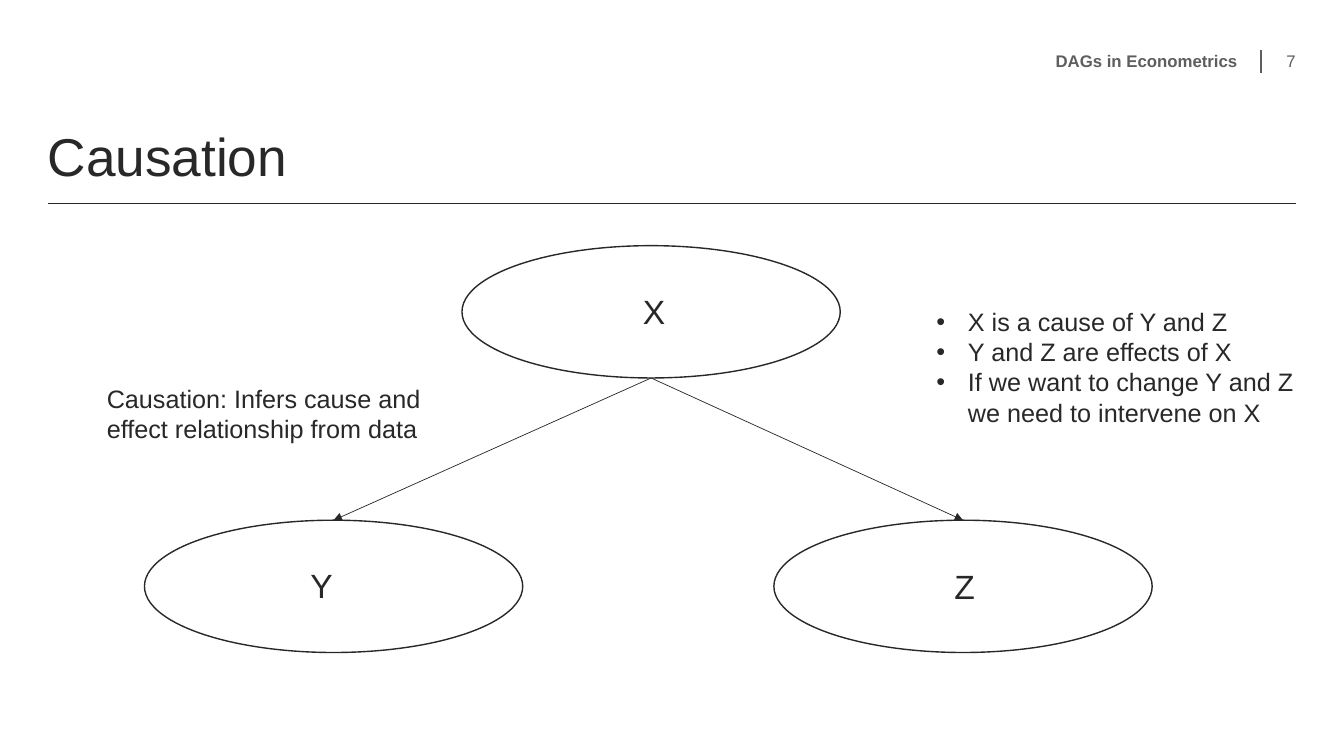
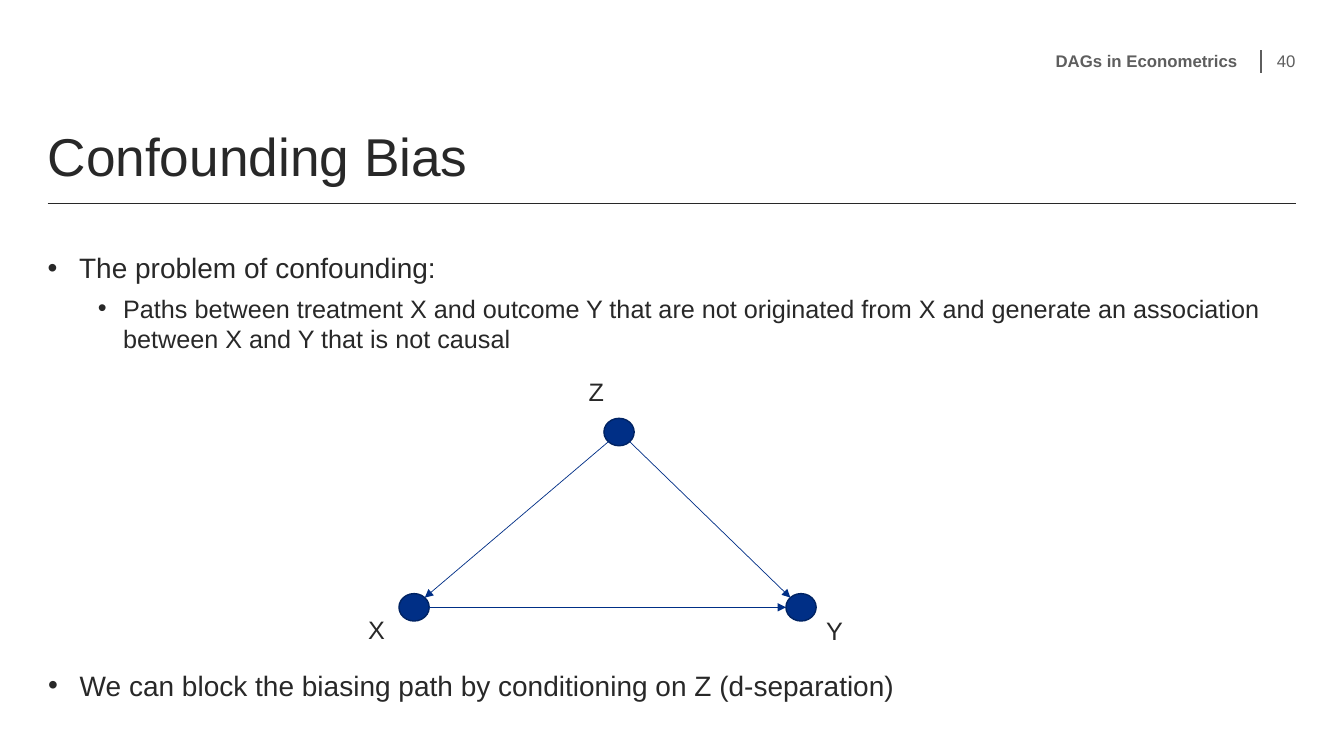
from dataclasses import dataclass
from math import cos, radians, sin

from lxml import etree
from pptx import Presentation
from pptx.dml.color import RGBColor
from pptx.enum.shapes import MSO_CONNECTOR, MSO_SHAPE
from pptx.enum.text import MSO_ANCHOR, PP_ALIGN
from pptx.oxml.ns import qn
from pptx.util import Pt

STRAIGHT = MSO_CONNECTOR.STRAIGHT
ELLIPSE = MSO_SHAPE.OVAL
TOP, MIDDLE, BOTTOM = MSO_ANCHOR.TOP, MSO_ANCHOR.MIDDLE, MSO_ANCHOR.BOTTOM
LEFT, RIGHT = PP_ALIGN.LEFT, PP_ALIGN.RIGHT


@dataclass(frozen=True)
class Theme:
    font: str = "Arial"
    ink: str = "282828"
    muted: str = "5E5E5E"
    white: str = "FFFFFF"
    navy: str = "002F86"
    dark_navy: str = "002363"
    title_size: int = 38
    node_size: int = 24
    body_size: int = 20
    detail_size: int = 18
    header_size: int = 12
    outline: float = 1
    arrow: float = 0.5


THEME = Theme()
SLIDE_WIDTH, SLIDE_HEIGHT = 960, 540
MARGIN = 34
CONTENT_WIDTH = 891.4
HEADER_TOP, HEADER_HEIGHT = 35.4, 16.4
DECK_NAME = "DAGs in Econometrics"
NO_INSET, TEXT_INSET = (0, 0), (7.2, 3.6)
BULLET = {"indent": (22.5, -22.5)}
SUB_BULLET = {"indent": (54, -18), "size": THEME.detail_size}


def rgb(color):
    return RGBColor.from_string(color)


def write_paragraph(paragraph, text, *, size=THEME.detail_size, color=THEME.ink, bold=False,
                    align=LEFT, line_spacing=1.0, space_before=0, indent=None):
    """Fill a paragraph; indent is (left margin, first line) and adds a bullet."""
    paragraph.alignment = align
    paragraph.line_spacing = line_spacing
    paragraph.space_before = Pt(space_before)
    run = paragraph.add_run()
    run.text = text
    run.font.name = THEME.font
    run.font.size = Pt(size)
    run.font.bold = bold
    run.font.color.rgb = rgb(color)
    if indent:
        properties = paragraph._p.get_or_add_pPr()
        properties.set("marL", str(Pt(indent[0])))
        properties.set("indent", str(Pt(indent[1])))
        etree.SubElement(properties, qn("a:buFont"), typeface=THEME.font)
        etree.SubElement(properties, qn("a:buChar"), char="•")


def add_text(slide, box, *paragraphs, inset=TEXT_INSET, anchor=TOP, **text_format):
    """Add a text box; a paragraph is a string or a (string, own format) pair."""
    frame = slide.shapes.add_textbox(*map(Pt, box)).text_frame
    frame.word_wrap = True
    frame.vertical_anchor = anchor
    frame.margin_left = frame.margin_right = Pt(inset[0])
    frame.margin_top = frame.margin_bottom = Pt(inset[1])
    for index, item in enumerate(paragraphs):
        text, own_format = (item, {}) if isinstance(item, str) else item
        paragraph = frame.add_paragraph() if index else frame.paragraphs[0]
        write_paragraph(paragraph, text, **{**text_format, **own_format})


def add_line(slide, start, end, color, width=THEME.outline, arrow=False):
    line = slide.shapes.add_connector(STRAIGHT, *map(Pt, (*start, *end)))
    line.line.color.rgb = rgb(color)
    line.line.width = Pt(width)
    if arrow:
        etree.SubElement(line.line._get_or_add_ln(), qn("a:tailEnd"), type="triangle")
    etree.SubElement(line._element.spPr, qn("a:effectLst"))


def add_ellipse(slide, box, fill, outline):
    ellipse = slide.shapes.add_shape(ELLIPSE, *map(Pt, box))
    ellipse.shadow.inherit = False
    ellipse.fill.solid()
    ellipse.fill.fore_color.rgb = rgb(fill)
    ellipse.line.color.rgb = rgb(outline)
    ellipse.line.width = Pt(THEME.outline)


def rim(box, degrees):
    """Point on the ellipse in the box, clockwise from its right end."""
    left, top, width, height = box
    angle = radians(degrees)
    return left + width / 2 * (1 + cos(angle)), top + height / 2 * (1 + sin(angle))


def add_graph(slide, nodes, labels, edges, *, node_size, label_size, label_width,
              fill, outline, arrow_color):
    """Draw nodes, arrows and labels; an edge is (from, degrees, to, degrees)."""
    boxes = {name: (*corner, *node_size) for name, corner in nodes.items()}
    for box in boxes.values():
        add_ellipse(slide, box, fill, outline)
    for source, leave, target, enter in edges:
        add_line(slide, rim(boxes[source], leave), rim(boxes[target], enter),
                 arrow_color, THEME.arrow, arrow=True)
    for name, corner in labels.items():
        add_text(slide, (*corner, label_width, label_size * 1.5), name, size=label_size)


def add_base_slide(presentation, title, number):
    slide = presentation.slides.add_slide(presentation.slide_layouts[6])
    slide.background.fill.solid()
    slide.background.fill.fore_color.rgb = rgb(THEME.white)
    add_line(slide, (MARGIN, 145.5), (MARGIN + CONTENT_WIDTH, 145.5), THEME.ink)
    add_line(slide, (900.6, HEADER_TOP + HEADER_HEIGHT), (900.6, HEADER_TOP), THEME.muted)
    add_text(slide, (MARGIN, 90, CONTENT_WIDTH, 44), title, inset=NO_INSET, anchor=BOTTOM,
             size=THEME.title_size, line_spacing=0.9)
    for text, left, width, bold in ((DECK_NAME, 318, 566, True), (number, 904.4, 21, False)):
        add_text(slide, (left, HEADER_TOP, width, HEADER_HEIGHT), text, inset=NO_INSET,
                 anchor=MIDDLE, align=RIGHT, size=THEME.header_size, color=THEME.muted,
                 bold=bold)
    return slide


def add_causation_slide(presentation):
    slide = add_base_slide(presentation, "Causation", "7")
    add_graph(
        slide,
        nodes={"X": (330, 175.5), "Y": (103.2, 371.6), "Z": (552.8, 371.6)},
        labels={"X": (452.2, 204.5), "Y": (214.6, 399.8), "Z": (674.6, 401)},
        edges=[("X", 90, "Y", 270), ("X", 90, "Z", 270)],
        node_size=(270.2, 94.5), label_size=THEME.node_size, label_width=36,
        fill=THEME.white, outline=THEME.ink, arrow_color=THEME.ink)
    add_text(slide, (69.2, 270, 247, 51),
             "Causation: Infers cause and effect relationship from data")
    add_text(slide, (661.8, 215.2, 270, 94.4),
             "X is a cause of Y and Z",
             "Y and Z are effects of X",
             "If we want to change Y and Z we need to intervene on X", **BULLET)


def add_confounding_slide(presentation):
    slide = add_base_slide(presentation, "Confounding Bias", "40")
    body = {"inset": NO_INSET, "size": THEME.body_size, "space_before": 6, **BULLET}
    add_text(slide, (MARGIN, 179.3, CONTENT_WIDTH, 91), "The problem of confounding:",
             ("Paths between treatment X and outcome Y that are not originated from X "
              "and generate an association between X and Y that is not causal", SUB_BULLET),
             **body)
    add_graph(
        slide,
        nodes={"Z": (431.4, 298.8), "X": (285, 424), "Y": (561.4, 424)},
        labels={"Z": (413.3, 265), "X": (255.8, 435.4), "Y": (583, 436)},
        edges=[("X", 0, "Y", 180), ("Z", 45, "Y", 225), ("Z", 135, "X", 315)],
        node_size=(21.6, 19.6), label_size=THEME.detail_size, label_width=29,
        fill=THEME.navy, outline=THEME.dark_navy, arrow_color=THEME.navy)
    add_text(slide, (MARGIN + 0.4, 477.4, CONTENT_WIDTH, 42.5),
             "We can block the biasing path by conditioning on Z (d-separation)", **body)


def main():
    presentation = Presentation()
    presentation.slide_width = Pt(SLIDE_WIDTH)
    presentation.slide_height = Pt(SLIDE_HEIGHT)
    add_causation_slide(presentation)
    add_confounding_slide(presentation)
    presentation.save("out.pptx")


if __name__ == "__main__":
    main()
